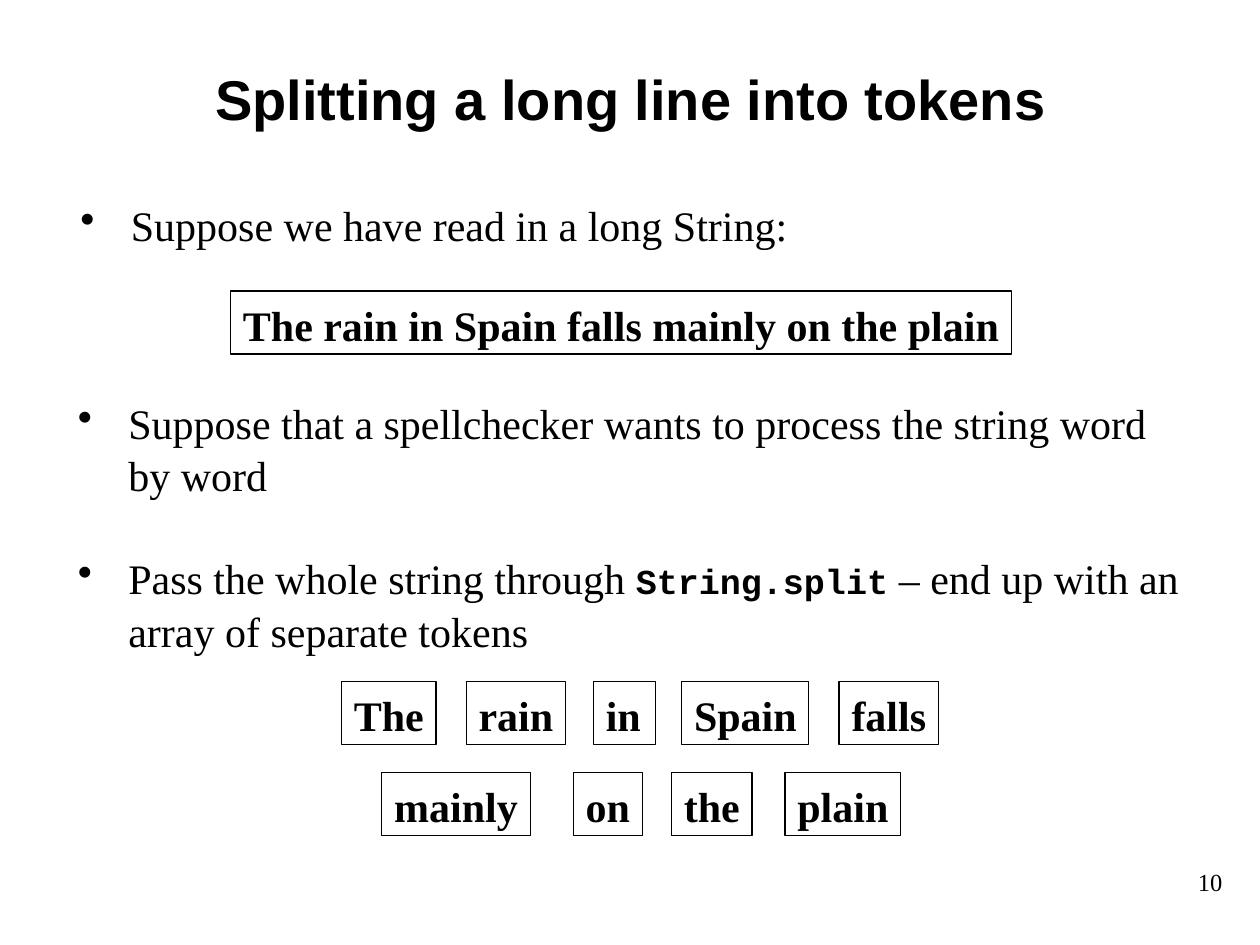
from dataclasses import dataclass

from lxml.etree import SubElement
from pptx import Presentation
from pptx.dml.color import RGBColor
from pptx.enum.shapes import MSO_SHAPE
from pptx.enum.text import MSO_ANCHOR, PP_ALIGN
from pptx.oxml.ns import qn
from pptx.util import Inches, Pt


@dataclass(frozen=True)
class Theme:
    ink: RGBColor = RGBColor(0, 0, 0)
    paper: RGBColor = RGBColor(255, 255, 255)
    heading_font: str = "Arial"
    body_font: str = "Times New Roman"
    code_font: str = "Courier New"
    title_size: int = 32
    body_size: int = 24
    code_size: int = 20
    number_size: int = 14
    line_spacing: float = 1.04


theme = Theme()


def add_text(paragraph, text, font=theme.body_font, size=theme.body_size,
             bold=False, align=PP_ALIGN.LEFT):
    paragraph.alignment = align
    paragraph.line_spacing = theme.line_spacing
    run = paragraph.add_run()
    run.text = text
    run.font.name = font
    run.font.size = Pt(size)
    run.font.bold = bold
    run.font.color.rgb = theme.ink


def add_bullet(paragraph):
    properties = paragraph._p.get_or_add_pPr()
    properties.set("marL", str(Inches(0.4)))
    properties.set("indent", str(-Inches(0.4)))
    SubElement(properties, qn("a:buChar")).set("char", "•")


presentation = Presentation()
presentation.slide_width = Inches(10)
presentation.slide_height = Inches(7.5)
slide = presentation.slides.add_slide(presentation.slide_layouts[5])
slide.background.fill.solid()
slide.background.fill.fore_color.rgb = theme.paper

title = slide.shapes.title
title.left, title.top = Inches(0.76), Inches(0.33)
title.width, title.height = Inches(8.5), Inches(0.87)
title.text_frame.vertical_anchor = MSO_ANCHOR.MIDDLE
add_text(title.text_frame.paragraphs[0], "Splitting a long line into tokens",
         font=theme.heading_font, size=theme.title_size, bold=True, align=PP_ALIGN.CENTER)

bullet_boxes = [
    (0.54, 1.52, 5.81, 0.5, [[("Suppose we have read in a long String:", {})]]),
    (0.52, 3.09, 9.01, 2.1, [
        [("Suppose that a spellchecker wants to process the string word by word", {})],
        [("Pass the whole string through ", {}),
         ("String.split", {"font": theme.code_font, "size": theme.code_size, "bold": True}),
         (" – end up with an array of separate tokens", {})],
    ]),
]
for left, top, width, height, bullets in bullet_boxes:
    box = slide.shapes.add_textbox(Inches(left), Inches(top), Inches(width), Inches(height))
    frame = box.text_frame
    frame.word_wrap = True
    for index, pieces in enumerate(bullets):
        paragraph = frame.add_paragraph() if index else frame.paragraphs[0]
        add_bullet(paragraph)
        if index:
            paragraph.space_before = Pt(28.8)
        for text, style in pieces:
            add_text(paragraph, text, **style)

boxed_rows = [
    (2.31, [("The rain in Spain falls mainly on the plain", 1.83, 6.2)]),
    (5.41, [("The", 2.71, 0.75), ("rain", 3.7, 0.79), ("in", 4.71, 0.49),
            ("Spain", 5.41, 1.01), ("falls", 6.66, 0.79)]),
    (6.13, [("mainly", 3.03, 1.18), ("on", 4.55, 0.55),
            ("the", 5.33, 0.64), ("plain", 6.23, 0.92)]),
]
for top, tokens in boxed_rows:
    for text, left, width in tokens:
        shape = slide.shapes.add_shape(MSO_SHAPE.RECTANGLE, Inches(left), Inches(top),
                                       Inches(width), Inches(0.5))
        shape.shadow.inherit = False
        shape.fill.background()
        shape.line.color.rgb = theme.ink
        shape.line.width = Pt(0.75)
        shape.text_frame.word_wrap = False
        shape.text_frame.vertical_anchor = MSO_ANCHOR.TOP
        add_text(shape.text_frame.paragraphs[0], text, bold=True)

number_box = slide.shapes.add_textbox(Inches(8.39), Inches(6.82), Inches(1.41), Inches(0.5))
number_box.text_frame.word_wrap = True
add_text(number_box.text_frame.paragraphs[0], "10", size=theme.number_size,
         align=PP_ALIGN.RIGHT)

presentation.save("out.pptx")
